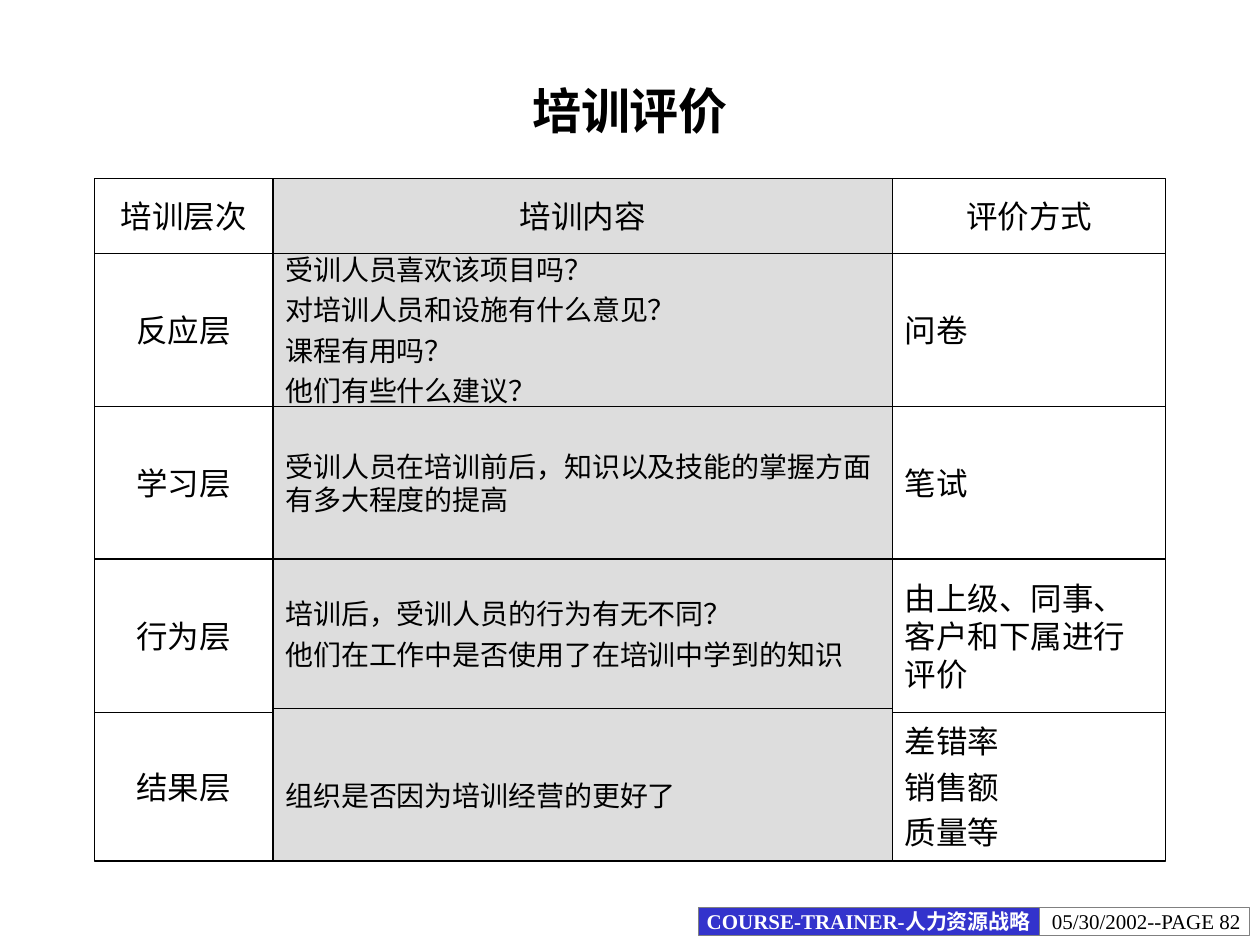
from pptx import Presentation
from pptx.dml.color import RGBColor as RGB
from pptx.enum.shapes import MSO_SHAPE as SHAPE
from pptx.enum.text import MSO_ANCHOR as ANCHOR, PP_ALIGN as ALIGN
from pptx.oxml import parse_xml
from pptx.oxml.ns import nsdecls
from pptx.util import Pt

COLORS = {"black": "000000", "white": "FFFFFF", "gray": "DDDDDD",
          "blue": "3333CC", "edge": "808080"}
LATIN, CJK = "Times New Roman", "Noto Sans CJK SC"

TITLE = "培训评价"
HEADERS = ["培训层次", "培训内容", "评价方式"]
LEVELS = [
    ("反应层", ["受训人员喜欢该项目吗？", "对培训人员和设施有什么意见？",
             "课程有用吗？", "他们有些什么建议？"], ["问卷"]),
    ("学习层", ["受训人员在培训前后，知识以及技能的掌握方面有多大程度的提高"], ["笔试"]),
    ("行为层", ["培训后，受训人员的行为有无不同？",
             "他们在工作中是否使用了在培训中学到的知识"], ["由上级、同事、客户和下属进行评价"]),
    ("结果层", ["组织是否因为培训经营的更好了"], ["差错率", "销售额", "质量等"]),
]
FOOTER = [
    ("05/30/2002--PAGE 82", 594, 120, dict(fill="white")),
    ("COURSE-TRAINER-人力资源战略", 399, 195,
     dict(fill="blue", color="white", bold=True, align=ALIGN.CENTER)),
]

COL_EDGES = [54, 156, 510, 666]
ROW_EDGES = [102, 144.75, 232.25, 319.5, 407, 492]
CONTENT_EDGES = ROW_EDGES[:4] + [405, 492]

prs = Presentation()
prs.slide_width, prs.slide_height = Pt(720), Pt(540)
s = prs.slides.add_slide(prs.slide_layouts[6])


def write(sp, text, size=18, font=LATIN, color="black", bold=False,
          align=ALIGN.LEFT, gap=0, spacing=None, wrap=True):
    tf = sp.text_frame
    tf.word_wrap = wrap
    tf.vertical_anchor = ANCHOR.MIDDLE
    lines = [text] if isinstance(text, str) else text
    for i, line in enumerate(lines):
        p = tf.paragraphs[0] if i == 0 else tf.add_paragraph()
        p.alignment = align
        if i:
            p.space_before = Pt(gap)
        if spacing:
            p.line_spacing = spacing
        r = p.add_run()
        r.text = line
        r.font.size, r.font.bold, r.font.name = Pt(size), bold, font
        r.font.color.rgb = RGB.from_string(COLORS[color])
        latin = r.font._element.find("{*}latin")
        latin.addnext(parse_xml(f'<a:ea {nsdecls("a")} typeface="{CJK}"/>'))


def add_box(text, x, y, w, h, fill=None, edge="black", **fmt):
    sp = s.shapes.add_shape(SHAPE.RECTANGLE, Pt(x), Pt(y), Pt(w), Pt(h))
    sp.shadow.inherit = False
    if fill:
        sp.fill.solid()
        sp.fill.fore_color.rgb = RGB.from_string(COLORS[fill])
    else:
        sp.fill.background()
    sp.line.color.rgb = RGB.from_string(COLORS[edge])
    sp.line.width = Pt(0.75)
    write(sp, text, **fmt)


for text, x, w, fmt in FOOTER:
    add_box(text, x, 518.5, w, 16, edge="edge", size=12, wrap=False, **fmt)

title = s.shapes.add_textbox(Pt(54), Pt(36), Pt(612), Pt(54))
write(title, TITLE, size=28, font=CJK, bold=True, align=ALIGN.CENTER)

for row, cells in enumerate([HEADERS] + LEVELS):
    for col, text in enumerate(cells):
        edges = CONTENT_EDGES if col == 1 else ROW_EDGES
        fmt = dict(gap=4.5)
        if row == 0 or col == 0:
            fmt = dict(align=ALIGN.CENTER, wrap=row > 0)
        elif col == 1:
            fmt = dict(size=16, gap=4, spacing=1.6 if row == len(LEVELS) else None)
        add_box(text, COL_EDGES[col], edges[row],
                COL_EDGES[col + 1] - COL_EDGES[col], edges[row + 1] - edges[row],
                fill="gray" if col == 1 else None, **fmt)

prs.save("out.pptx")
